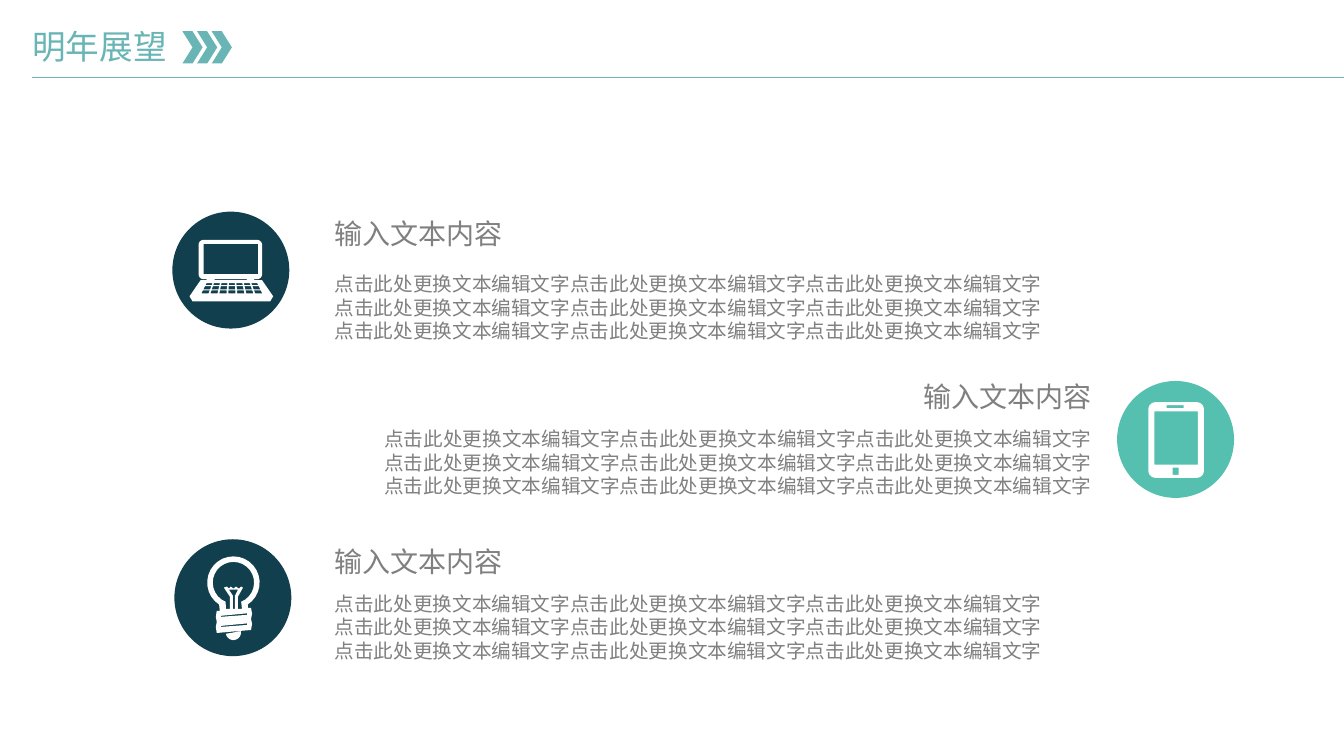
from dataclasses import dataclass
from math import cos, radians, sin

from lxml import etree
from pptx import Presentation
from pptx.dml.color import RGBColor
from pptx.enum.shapes import MSO_CONNECTOR, MSO_SHAPE
from pptx.enum.text import MSO_AUTO_SIZE, PP_ALIGN
from pptx.oxml.ns import qn
from pptx.util import Inches, Pt

LEFT, RIGHT = PP_ALIGN.LEFT, PP_ALIGN.RIGHT
OVAL, CHEVRON = MSO_SHAPE.OVAL, MSO_SHAPE.CHEVRON
STRAIGHT = MSO_CONNECTOR.STRAIGHT
FIT_SHAPE = MSO_AUTO_SIZE.SHAPE_TO_FIT_TEXT

CELL = Inches(0.01)
COLUMNS, ROWS = 1333, 750
CIRCLE = 116
HEADING = "输入文本内容"
BODY = ["点击此处更换文本编辑文字" * 3] * 3


@dataclass(frozen=True)
class Theme:
    """Colours, font and type sizes of the slide."""
    teal: str = "69B4B4"
    navy: str = "113F4E"
    mint: str = "55C0AF"
    grey: str = "808080"
    white: str = "FFFFFF"
    font: str = "Noto Sans CJK SC"
    title: int = 24
    heading: int = 20
    body: int = 14


THEME = Theme()


def cells(*lengths):
    """Turn grid cells into slide lengths."""
    return [round(length * CELL) for length in lengths]


def paint(shape, color):
    """Give a shape a plain fill with no line or shadow."""
    shape.shadow.inherit = False
    shape.fill.solid()
    shape.fill.fore_color.rgb = RGBColor.from_string(color)
    shape.line.fill.background()


def add_text(slide, box, lines, size, color, align=LEFT, margins=(10, 5), wrap=True):
    """Place one paragraph per line in a text box."""
    frame = slide.shapes.add_textbox(*cells(*box)).text_frame
    frame.word_wrap = wrap
    frame.auto_size = FIT_SHAPE
    frame.margin_left = frame.margin_right = margins[0] * CELL
    frame.margin_top = frame.margin_bottom = margins[1] * CELL
    for index, line in enumerate(lines):
        paragraph = frame.add_paragraph() if index else frame.paragraphs[0]
        paragraph.alignment = align
        run = paragraph.add_run()
        run.text = line
        run.font.name = THEME.font
        run.font.size = Pt(size)
        run.font.color.rgb = RGBColor.from_string(color)
        east_asian = etree.SubElement(run.font._element, qn("a:ea"))
        east_asian.set("typeface", THEME.font)


def arc(x, y, radius, start, end, steps=24):
    """List points along a circular arc, in degrees."""
    angles = [radians(start + (end - start) * step / steps) for step in range(steps + 1)]
    return [(x + radius * cos(angle), y + radius * sin(angle)) for angle in angles]


def rectangle(left, top, width, height, radius=0):
    """List the points of a rectangle with optional round corners."""
    right, bottom = left + width, top + height
    if not radius:
        return [(left, top), (right, top), (right, bottom), (left, bottom)]
    centres = [(right - radius, bottom - radius), (left + radius, bottom - radius),
               (left + radius, top + radius), (right - radius, top + radius)]
    return [point for turn, (x, y) in enumerate(centres)
            for point in arc(x, y, radius, turn * 90, turn * 90 + 90, 8)]


def laptop_outlines():
    """Outline a laptop with a fan of keys."""
    keys = []
    for top, bottom in [(71, 73), (74, 77), (78, 81)]:
        for key in range(7):
            ends = [(key / 7, top), ((key + 0.8) / 7, top),
                    ((key + 0.8) / 7, bottom), (key / 7, bottom)]
            keys.append([(59 + (2 * share - 0.97) * (26 + (y - 71) / 2), y)
                         for share, y in ends])
    base = [(28, 68), (89, 68), (100, 84), (97, 89), (20, 89), (17, 84)]
    return [rectangle(26, 28, 63, 39, 5), rectangle(31, 32, 54, 30),
            rectangle(34, 67, 8, 1), rectangle(74, 67, 7, 1), base, *keys]


def phone_outlines():
    """Outline a phone with screen, speaker and button."""
    return [rectangle(31, 21, 55, 75, 7), rectangle(55, 86, 6, 7),
            rectangle(49, 24, 17, 3), rectangle(37, 30, 43, 53)]


def bulb_outlines():
    """Outline a light bulb with filament and screw cap."""
    glass = arc(58.5, 43, 26, 123, 417) + [
        (73, 68), (76, 68), (77, 74), (76, 79), (77, 84), (76, 90), (42, 93),
        (41, 87), (42, 82), (41, 77), (42, 71), (45, 71)]
    hollow = arc(58.5, 43, 20.5, 112, 428) + [
        (67, 69), (63, 69), (63, 57), (68, 48), (66, 47), (64, 49), (61, 47),
        (58.5, 49), (56, 47), (54, 49), (52, 47), (49, 48), (55, 57), (55, 69), (51, 69)]
    filament = [(54, 50), (63, 50), (60, 56), (60, 69), (58, 69), (58, 56)]
    tip = arc(58.5, 92.5, 7.5, -10, 170)
    slits = [[(46, y), (72, y - 2.5), (72, y - 1), (46, y + 1)] for y in (76, 86)]
    return [glass, hollow, filament, tip, *slits]


def add_badge(slide, left, top, color, outlines):
    """Draw a white icon on a coloured circle."""
    circle = slide.shapes.add_shape(OVAL, *cells(left, top, CIRCLE, CIRCLE))
    paint(circle, color)
    placed = [[cells(left + x, top + y) for x, y in outline] for outline in outlines]
    builder = slide.shapes.build_freeform(*placed[0][0], scale=1.0)
    for index, points in enumerate(placed):
        if index:
            builder.move_to(*points[0])
        builder.add_line_segments(points[1:], close=True)
    paint(builder.convert_to_shape(), THEME.white)


def add_header(slide, left, top):
    """Place the title, its three chevrons and the rule below."""
    rule = slide.shapes.add_connector(STRAIGHT, *cells(left, top + 51, COLUMNS, top + 51))
    rule.line.color.rgb = RGBColor.from_string(THEME.teal)
    rule.line.width = Pt(0.5)
    etree.SubElement(rule._element.spPr, qn("a:effectLst"))
    add_text(slide, (left, top, 281, 40), ["明年展望"], THEME.title, THEME.teal, margins=(0, 0))
    for index in range(3):
        box = cells(left + 149 + index * 14.5, top + 5, 20, 32)
        paint(slide.shapes.add_shape(CHEVRON, *box), THEME.teal)


def add_entry(slide, left, top, width, body_offset, align=LEFT):
    """Place a heading and its body text, aligned to one side of the box."""
    heading_left = left if align == LEFT else left + width - 188
    add_text(slide, (heading_left, top, 188, 44), [HEADING], THEME.heading,
             THEME.grey, align, wrap=False)
    add_text(slide, (left, top + body_offset, width, 81), BODY, THEME.body, THEME.grey, align)


def main():
    """Build and save the outlook slide."""
    presentation = Presentation()
    presentation.slide_width, presentation.slide_height = cells(COLUMNS, ROWS)
    slide = presentation.slides.add_slide(presentation.slide_layouts[6])
    add_header(slide, 32, 26)
    add_badge(slide, 171, 210, THEME.navy, laptop_outlines())
    add_entry(slide, 322, 210, 922, 55)
    add_badge(slide, 1108, 378, THEME.mint, phone_outlines())
    add_entry(slide, 171, 372, 922, 47, RIGHT)
    add_badge(slide, 173, 535, THEME.navy, bulb_outlines())
    add_entry(slide, 322, 535, 827, 47)
    presentation.save("out.pptx")


if __name__ == "__main__":
    main()
